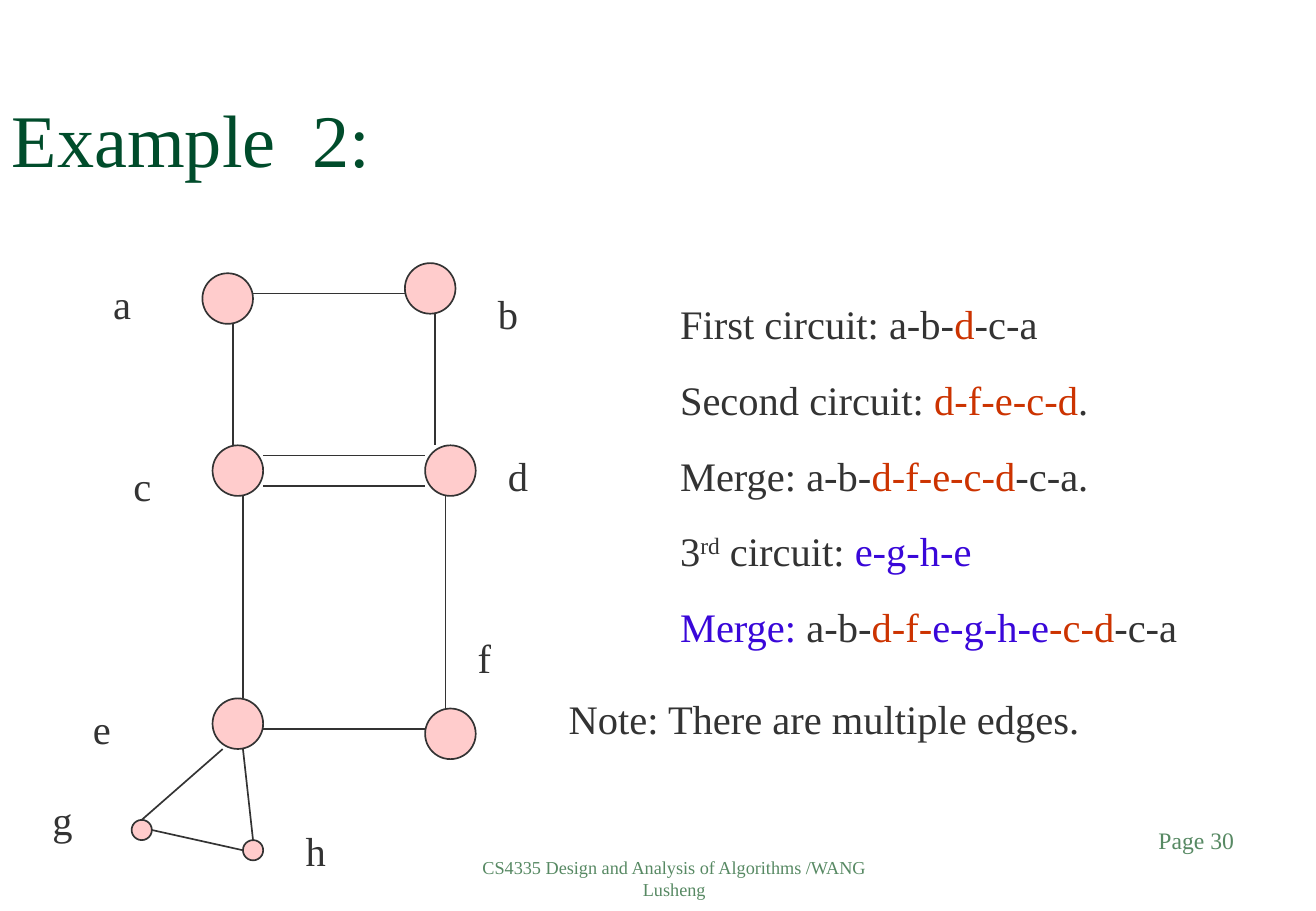
from lxml import etree
from pptx import Presentation
from pptx.dml.color import RGBColor
from pptx.enum.shapes import MSO_CONNECTOR as Connector, MSO_SHAPE as Shape
from pptx.enum.text import MSO_ANCHOR as Anchor, MSO_AUTO_SIZE as AutoSize, PP_ALIGN as Align
from pptx.oxml.ns import qn
from pptx.util import Inches, Pt

INK = RGBColor(0x33, 0x33, 0x33)
GREEN = RGBColor(0x00, 0x4C, 0x2B)
SAGE = RGBColor(0x57, 0x89, 0x63)
PINK = RGBColor(0xFF, 0xCC, 0xCC)
RED = RGBColor(0xCC, 0x33, 0x00)
BLUE = RGBColor(0x39, 0x07, 0xD9)
FONT = "Times New Roman"
COLUMNS, ROWS = 130, 90
CELL = Inches(7.5) / ROWS

NODES = {
    "a": (20, 27, 5), "b": (40, 26, 5), "c": (21, 44, 5), "d": (42, 44, 5),
    "e": (21, 69, 5), "f": (42, 70, 5), "g": (13, 81, 2), "h": (24, 83, 2),
}
EDGES = [
    (23, 32, 23, 44), (25, 29, 40, 29), (43, 31, 43, 44), (26, 45, 42, 45),
    (26, 48, 42, 48), (24, 49, 24, 69), (44, 49, 44, 70), (26, 72, 42, 72),
    (22, 74, 14, 81), (24, 74, 25, 83), (15, 82, 24, 84),
]
LABELS = {
    "a": (10, 27, 5), "b": (48, 28, 7), "c": (12, 45, 5), "d": (49, 44, 13),
    "e": (8, 69, 10), "f": (46, 62, 10), "g": (4, 78, 7), "h": (29, 81, 10),
}
CIRCUITS = [
    [("First circuit: a-b-", INK), ("d", RED), ("-c-a", INK)],
    [("Second circuit: ", INK), ("d-f-e-c-d", RED), (".", INK)],
    [("Merge: a-b-", INK), ("d-f-e-c-d", RED), ("-c-a.", INK)],
    [("3", INK), ("rd", INK, 30000), (" circuit: ", INK), ("e-g-h-e", BLUE)],
    [("Merge: ", BLUE), ("a-b-", INK), ("d-f-", RED), ("e-g-h-e", BLUE),
     ("-c-d", RED), ("-c-a", INK)],
]
NOTE = "Note: There are multiple edges."
TITLE = "Example  2:"
FOOTER = "CS4335 Design and Analysis of Algorithms /WANG Lusheng"
PAGE = "Page 30"


def grid(*cells):
    return [round(cell * CELL) for cell in cells]


def add_text(slide, place, lines, size=24, align=Align.LEFT, anchor=Anchor.TOP, grow=True):
    frame = slide.shapes.add_textbox(*grid(*place)).text_frame
    frame.word_wrap = True
    frame.vertical_anchor = anchor
    frame.auto_size = AutoSize.SHAPE_TO_FIT_TEXT if grow else AutoSize.NONE
    for index, line in enumerate(lines):
        paragraph = frame.add_paragraph() if index else frame.paragraphs[0]
        paragraph.alignment = align
        if index:
            paragraph.space_before = Pt(16)
        for words, color, *raised in line:
            run = paragraph.add_run()
            run.text = words
            run.font.name = FONT
            run.font.size = Pt(size)
            run.font.color.rgb = color
            if raised:
                run.font._element.set("baseline", str(raised[0]))


def add_edge(slide, ends):
    edge = slide.shapes.add_connector(Connector.STRAIGHT, *grid(*ends))
    edge.line.color.rgb = INK
    edge.line.width = Pt(1)
    etree.SubElement(edge._element.spPr, qn("a:effectLst"))


def add_node(slide, left, top, size):
    node = slide.shapes.add_shape(Shape.OVAL, *grid(left, top, size, size))
    node.shadow.inherit = False
    node.fill.solid()
    node.fill.fore_color.rgb = PINK
    node.line.color.rgb = INK
    node.line.width = Pt(1)


def main():
    """Build the slide on merging circuits in a graph."""
    deck = Presentation()
    deck.slide_width, deck.slide_height = grid(COLUMNS, ROWS)
    slide = deck.slides.add_slide(deck.slide_layouts[6])
    add_text(slide, (46, 84, 41.2, 6), [[(FOOTER, SAGE)]], 10.8, Align.CENTER, grow=False)
    add_text(slide, (96, 81, 27.1, 6), [[(PAGE, SAGE)]], 14, Align.RIGHT, grow=False)
    add_text(slide, (0, 3.6, 117, 15), [[(TITLE, GREEN)]], 44, anchor=Anchor.BOTTOM, grow=False)
    for node in NODES.values():
        add_node(slide, *node)
    for ends in EDGES:
        add_edge(slide, ends)
    for name, (left, top, width) in LABELS.items():
        add_text(slide, (left, top, width, 6), [[(name, INK)]])
    add_text(slide, (66, 29, 57, 35.3), CIRCUITS)
    add_text(slide, (55, 68, 67, 6), [[(NOTE, INK)]])
    deck.save("out.pptx")


if __name__ == "__main__":
    main()
